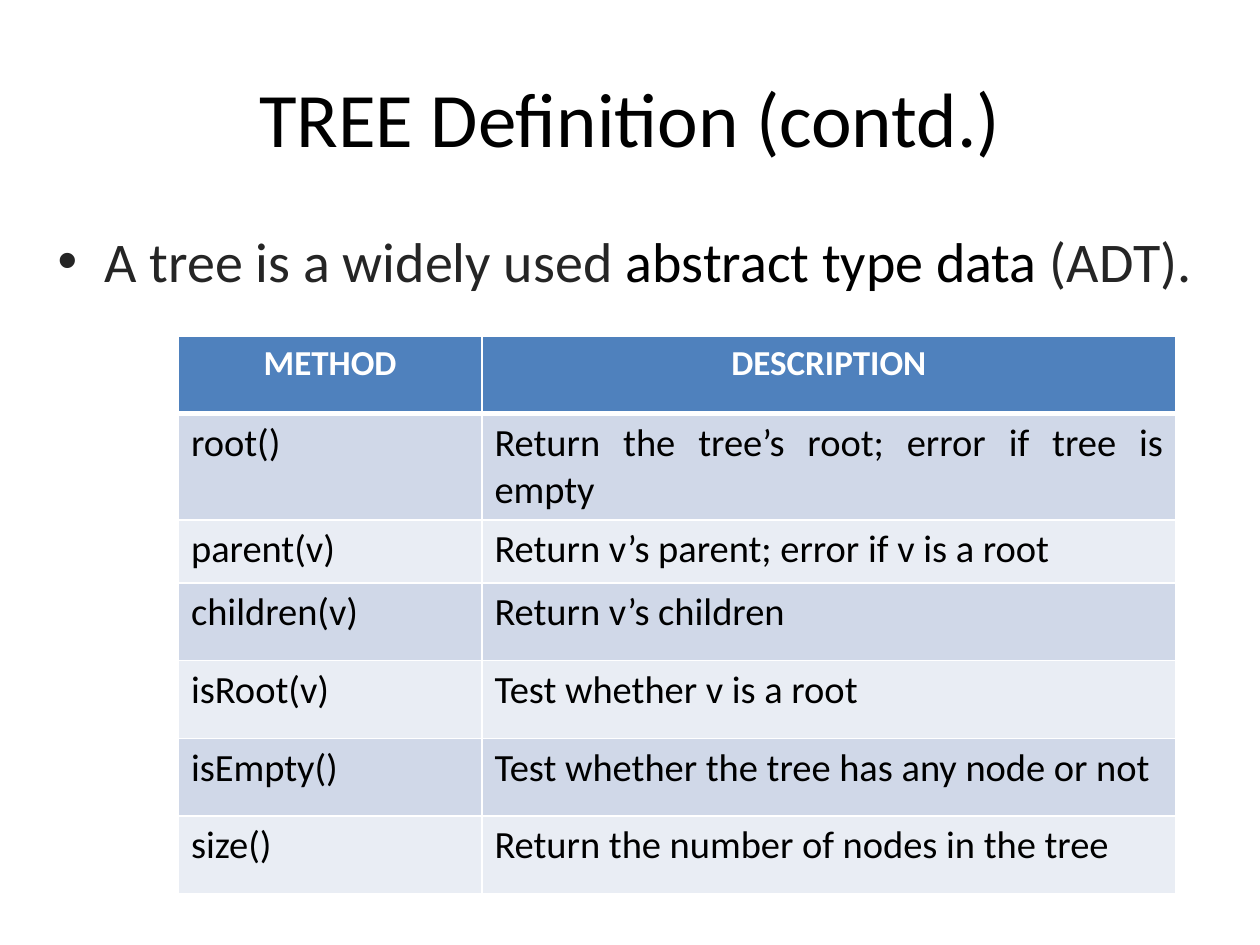
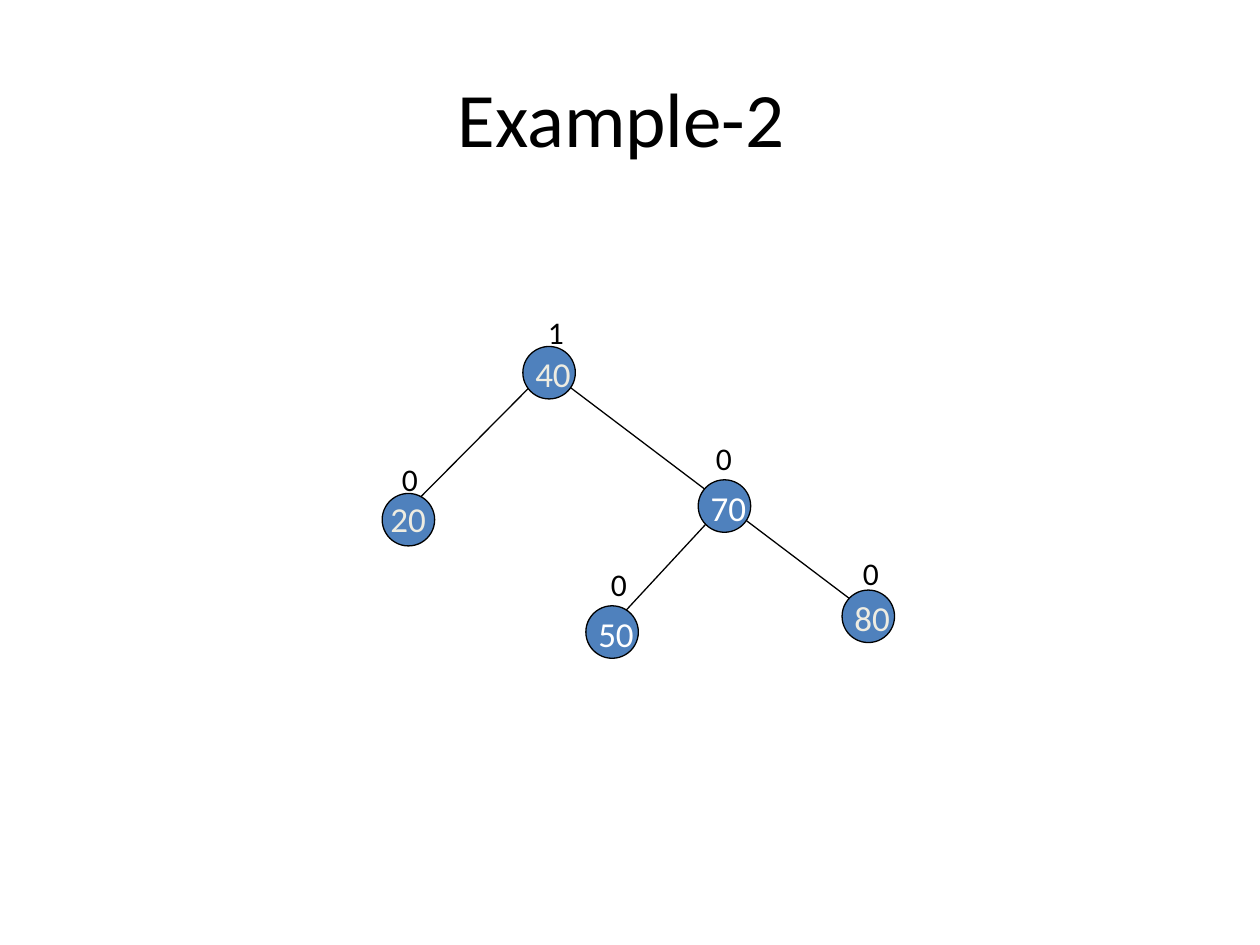
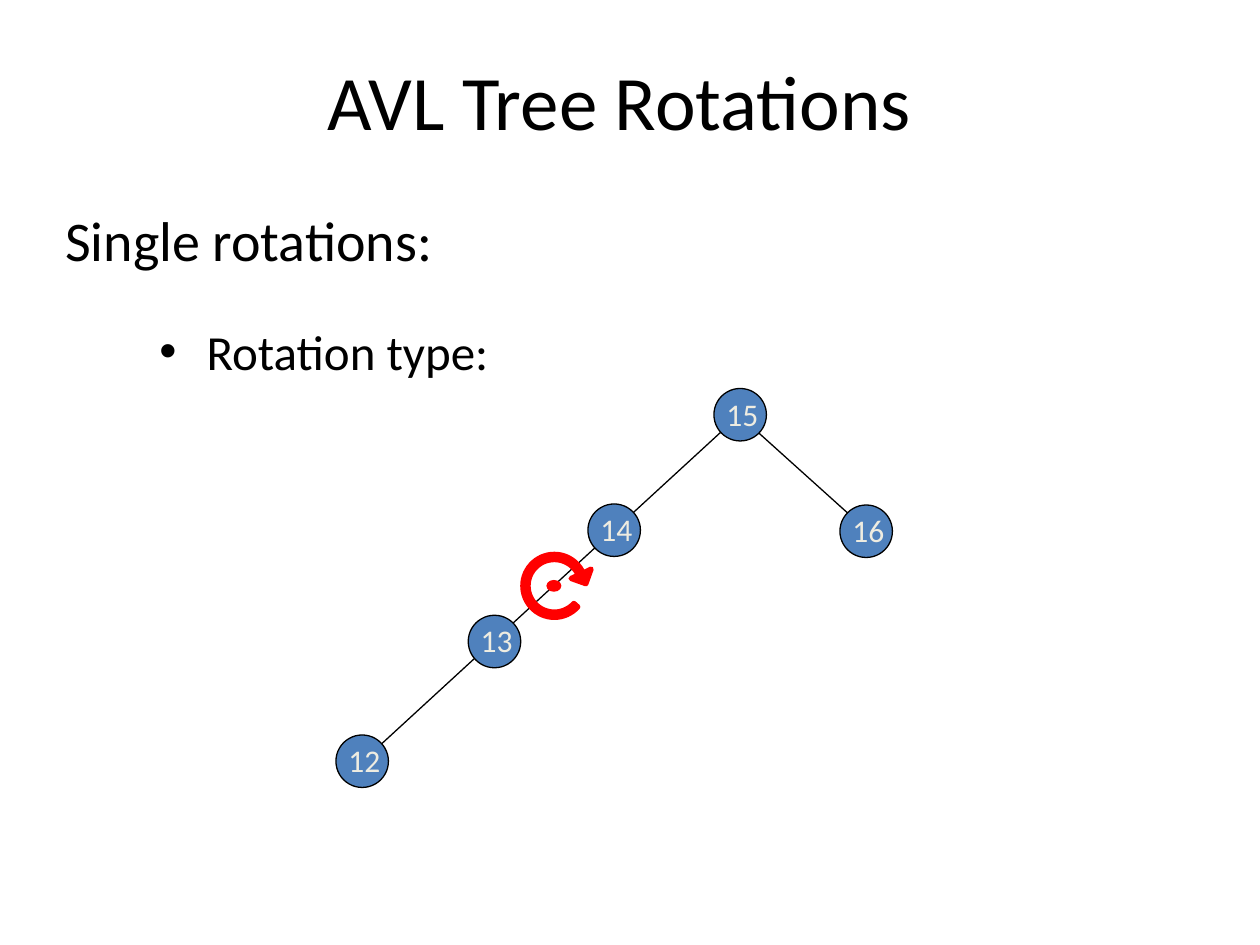
import math

import pptx
import pptx.dml.color
import pptx.enum.shapes
import pptx.enum.text
import pptx.oxml
import pptx.oxml.ns
import pptx.util

COLUMNS, ROWS = 120, 90
CELL = pptx.util.Inches(10) // COLUMNS
FONT = "Calibri"
NODE_SIZE = 5
COLORS = {
    "black": "000000",
    "white": "FFFFFF",
    "cream": "EEECE1",
    "charcoal": "252525",
    "blue": "4F81BD",
    "band_dark": "D0D8E8",
    "band_light": "E9EDF4",
    "red": "FF0000",
}
ALIGN = pptx.enum.text.PP_ALIGN
SHAPE = pptx.enum.shapes.MSO_SHAPE
TITLE_BOX = (6, 3.6, 108, 15)

METHODS = [
    ("METHOD", "DESCRIPTION"),
    ("root()", "Return the tree’s root; error if tree is empty"),
    ("parent(v)", "Return v’s parent; error if v is a root"),
    ("children(v)", "Return v’s children"),
    ("isRoot(v)", "Test whether v is a root"),
    ("isEmpty()", "Test whether the tree has any node or not"),
    ("size()", "Return the number of nodes in the tree"),
]
METHOD_COLUMNS = (28.9, 66.1)
METHOD_ROWS = (7.4, 6.6, 6, 7.4, 7.4, 7.4, 7.4)


def grid(*cells):
    return [pptx.util.Emu(round(cell * CELL)) for cell in cells]


def rgb(name):
    return pptx.dml.color.RGBColor.from_string(COLORS[name])


def write(frame, text, size=18, color="black", bold=False, align=None,
          bullet=None, hanging=None, wrap=True):
    """Fill a frame with one paragraph; text is a string or (text, colour) runs."""
    frame.word_wrap = wrap
    paragraph = frame.paragraphs[0]
    properties = paragraph._p.get_or_add_pPr()
    if hanging:
        indent = grid(hanging)[0]
        properties.set("marL", str(indent))
        properties.set("indent", str(-indent))
    if bullet == "none":
        pptx.oxml.ns.qn("a:buNone")
        properties.append(properties.makeelement(pptx.oxml.ns.qn("a:buNone"), {}))
    elif bullet:
        for tag, attributes in (("a:buFont", {"typeface": "Arial"}),
                                ("a:buChar", {"char": bullet})):
            properties.append(properties.makeelement(pptx.oxml.ns.qn(tag), attributes))
    if align is not None:
        paragraph.alignment = align
    for words, run_color in ([(text, color)] if isinstance(text, str) else text):
        run = paragraph.add_run()
        run.text = words
        run.font.name = FONT
        run.font.size = pptx.util.Pt(size)
        run.font.bold = bold
        run.font.color.rgb = rgb(run_color)


def fill_placeholder(placeholder, box, text, **text_format):
    placeholder.left, placeholder.top, placeholder.width, placeholder.height = grid(*box)
    placeholder.text_frame.auto_size = pptx.enum.text.MSO_AUTO_SIZE.NONE
    write(placeholder.text_frame, text, **text_format)


def add_slide(presentation, layout, title, title_box=TITLE_BOX):
    slide = presentation.slides.add_slide(presentation.slide_layouts.get_by_name(layout))
    fill_placeholder(slide.shapes.title, title_box, title, size=44, align=ALIGN.CENTER)
    return slide


def add_text(slide, box, text, **text_format):
    write(slide.shapes.add_textbox(*grid(*box)).text_frame, text, **text_format)


def paint(shape, fill, line, line_width=0.75):
    shape.shadow.inherit = False
    shape.fill.solid()
    shape.fill.fore_color.rgb = rgb(fill)
    shape.line.color.rgb = rgb(line)
    shape.line.width = pptx.util.Pt(line_width)


def set_borders(cell, **widths):
    """Draw white borders; widths are points by side letter L, R, T, B."""
    properties = cell._tc.get_or_add_tcPr()
    for side, width in widths.items():
        properties.append(pptx.oxml.parse_xml(
            f'<a:ln{side} {pptx.oxml.ns.nsdecls("a")} w="{pptx.util.Pt(width)}">'
            f'<a:solidFill><a:srgbClr val="{COLORS["white"]}"/></a:solidFill></a:ln{side}>'))


def add_method_table(slide, left, top):
    box = grid(left, top, sum(METHOD_COLUMNS), sum(METHOD_ROWS))
    table = slide.shapes.add_table(len(METHOD_ROWS), len(METHOD_COLUMNS), *box).table
    for column, width in zip(table.columns, grid(*METHOD_COLUMNS)):
        column.width = width
    for row, height in zip(table.rows, grid(*METHOD_ROWS)):
        row.height = height
    for r, texts in enumerate(METHODS):
        for c, text in enumerate(texts):
            cell = table.cell(r, c)
            set_borders(cell, L=1, R=1, T=3 if r == 1 else 1, B=3 if r == 0 else 1)
            cell.fill.solid()
            if r == 0:
                cell.fill.fore_color.rgb = rgb("blue")
                write(cell.text_frame, text, size=20, color="white", bold=True,
                      align=ALIGN.CENTER)
            else:
                cell.fill.fore_color.rgb = rgb("band_dark" if r % 2 else "band_light")
                write(cell.text_frame, text, size=22,
                      align=ALIGN.JUSTIFY if c else ALIGN.LEFT)


def add_tree(slide, left, top, branches, nodes, size):
    """Draw branches (x1, y1, x2, y2), then nodes (key, x, y, key colour)."""
    for x1, y1, x2, y2 in branches:
        branch = slide.shapes.add_connector(
            pptx.enum.shapes.MSO_CONNECTOR.STRAIGHT,
            *grid(left + x1, top + y1, left + x2, top + y2))
        branch.line.color.rgb = rgb("black")
        branch.line.width = pptx.util.Pt(0.75)
        properties = branch._element.spPr
        properties.append(properties.makeelement(pptx.oxml.ns.qn("a:effectLst"), {}))
    for key, x, y, color in nodes:
        node = slide.shapes.add_shape(
            SHAPE.OVAL, *grid(left + x, top + y, NODE_SIZE, NODE_SIZE))
        paint(node, "blue", "black")
        # The key of node 20 sits slightly up and left of its circle.
        dx, dy = (-0.4, -0.2) if key == "20" else (0, 0)
        add_text(slide, (left + x + dx, top + y + dy, 6, 5), key, size=size, color=color)


def add_balance_factors(slide, left, top, factors):
    for factor, x, y in factors:
        add_text(slide, (left + x, top + y, 4, 4.8), factor, wrap=False)


def add_rotation_arrow(slide, left, top, radius=3, inner_radius=2.5):
    """Draw a clockwise ring arrow with a dot at its centre."""
    center_x, center_y = left + radius, top + radius

    def arc(arc_radius, angles):
        return [(arc_radius * math.cos(math.radians(angle)),
                 arc_radius * math.sin(math.radians(angle))) for angle in angles]

    angles = range(42, 337, 6)
    head = [(3.5, -1.6), (3, -0.2), (1.6, -0.7)]
    outline = arc(radius, angles) + head + arc(inner_radius, reversed(angles))
    points = [grid(center_x + x, center_y + y) for x, y in outline]
    group = slide.shapes.add_group_shape()
    builder = group.shapes.build_freeform(*points[0])
    builder.add_line_segments(points[1:], close=True)
    paint(builder.convert_to_shape(), "red", "red", line_width=3)
    dot = group.shapes.add_shape(
        SHAPE.OVAL, *grid(center_x - 0.7, center_y - 0.5, 1.3, 1))
    paint(dot, "red", "red")


def build_definition(presentation):
    slide = add_slide(presentation, "Title and Content", "TREE Definition (contd.)")
    sentence = [("A tree is a widely used ", "charcoal"),
                ("abstract type data ", "black"), ("(ADT).", "charcoal")]
    fill_placeholder(slide.placeholders[1], (3, 21, 113, 59.4), sentence,
                     size=32, align=ALIGN.CENTER)
    add_method_table(slide, 17, 32)


def build_example(presentation):
    slide = add_slide(presentation, "Title Only", "Example-2 ")
    left, top = 36, 29
    add_tree(
        slide, left, top,
        branches=[(33, 19, 23, 29.8), (3.4, 19, 16.3, 6), (15.8, 6, 44.9, 28)],
        nodes=[("40", 13.8, 4, "cream"), ("70", 30.5, 16.7, "white"),
               ("80", 44.2, 27.2, "cream"), ("20", 0.4, 18, "cream"),
               ("50", 19.8, 28.7, "white")],
        size=20)
    add_balance_factors(slide, left, top, [
        ("1", 15, 0.2), ("0", 1.1, 14.2), ("0", 21, 24.2),
        ("0", 31, 12.2), ("0", 45, 23.2)])


def build_rotations(presentation):
    slide = add_slide(presentation, "Title and Content", "AVL Tree Rotations",
                      title_box=(8, 2, 102, 15))
    fill_placeholder(slide.placeholders[1], (5, 19, 112, 8), "Single rotations:",
                     size=32, bullet="none", hanging=4.5)
    add_text(slide, (14, 30, 66, 8), "Rotation type:", size=28, bullet="•", hanging=4.5)
    add_tree(
        slide, 32, 37,
        branches=[(2, 36, 39, 2), (40, 4, 50, 13)],
        nodes=[(key, x, y, "cream") for key, x, y in (
            ("14", 24, 11), ("15", 36, 0), ("16", 48, 11.1),
            ("13", 12.6, 21.6), ("12", 0, 33))],
        size=18)
    add_rotation_arrow(slide, 49.8, 52.8)


def main():
    presentation = pptx.Presentation()
    presentation.slide_width, presentation.slide_height = grid(COLUMNS, ROWS)
    build_definition(presentation)
    build_example(presentation)
    build_rotations(presentation)
    presentation.save("out.pptx")


if __name__ == "__main__":
    main()
